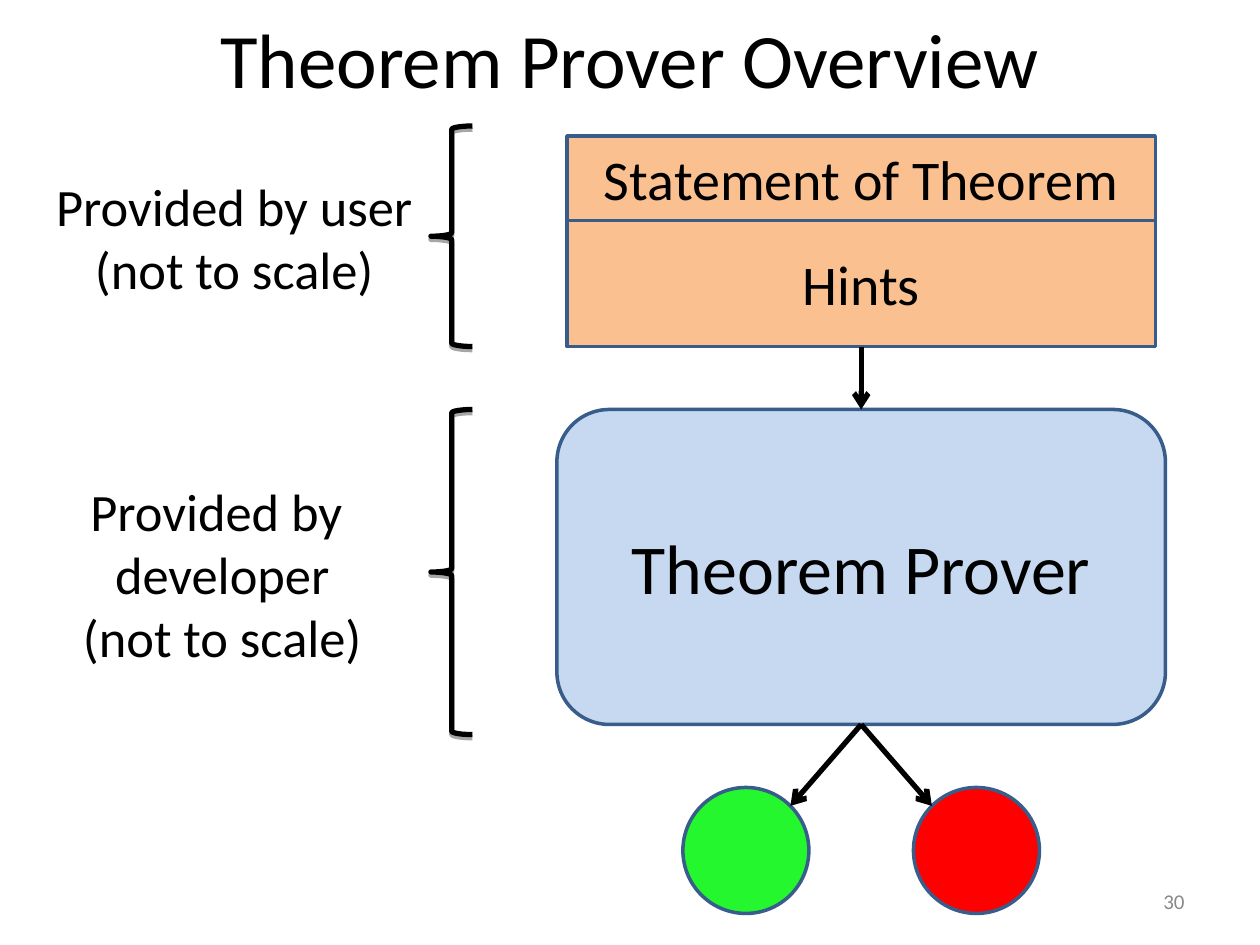
import math

from lxml import etree
from pptx import Presentation
from pptx.dml.color import RGBColor
from pptx.enum.shapes import MSO_CONNECTOR, MSO_SHAPE
from pptx.enum.text import MSO_ANCHOR, PP_ALIGN
from pptx.oxml.ns import qn
from pptx.util import Inches, Pt

RECTANGLE = MSO_SHAPE.RECTANGLE
ROUNDED = MSO_SHAPE.ROUNDED_RECTANGLE
OVAL = MSO_SHAPE.OVAL
BRACE = MSO_SHAPE.LEFT_BRACE
STRAIGHT = MSO_CONNECTOR.STRAIGHT
CENTER = PP_ALIGN.CENTER
RIGHT = PP_ALIGN.RIGHT
TOP = MSO_ANCHOR.TOP
MIDDLE = MSO_ANCHOR.MIDDLE

FONT = "Calibri"
BLACK = "000000"
OUTLINE = "385D8A"
ORANGE = "FAC090"
BOTTOM_SITE, TOP_SITE = 2, 0


def color(hex_code):
    """Turn a hex string into a colour."""
    return RGBColor.from_string(hex_code)


def write(frame, lines, size, hex_code=BLACK, align=CENTER, anchor=MIDDLE):
    """Fill a text frame with one paragraph per line."""
    frame.word_wrap = True
    frame.vertical_anchor = anchor
    for index, line in enumerate(lines):
        paragraph = frame.paragraphs[0] if index == 0 else frame.add_paragraph()
        paragraph.text = line
        paragraph.alignment = align
        paragraph.font.name = FONT
        paragraph.font.size = Pt(size)
        paragraph.font.color.rgb = color(hex_code)


def add_label(slide, box, lines, size, **style):
    """Add free-standing text."""
    label = slide.shapes.add_textbox(*map(Inches, box))
    write(label.text_frame, lines, size, **style)


def add_block(slide, kind, box, fill, text="", size=32):
    """Add a filled, outlined shape with optional centred text."""
    block = slide.shapes.add_shape(kind, *map(Inches, box))
    block.shadow.inherit = False
    block.fill.solid()
    block.fill.fore_color.rgb = color(fill)
    block.line.color.rgb = color(OUTLINE)
    block.line.width = Pt(2)
    if text:
        write(block.text_frame, [text], size)
    return block


def add_brace(slide, top, height):
    """Add a left brace with a soft drop shadow."""
    brace = slide.shapes.add_shape(BRACE, *map(Inches, (3.42, top, 0.33, height)))
    brace.shadow.inherit = False
    brace.fill.background()
    brace.line.color.rgb = color(BLACK)
    brace.line.width = Pt(3)
    effects = brace._element.spPr.find(qn("a:effectLst"))
    shadow = etree.SubElement(effects, qn("a:outerShdw"), dist=str(Pt(1.8)),
                              dir="5400000", rotWithShape="0")
    shade = etree.SubElement(shadow, qn("a:srgbClr"), val=BLACK)
    etree.SubElement(shade, qn("a:alpha"), val="35000")


def add_arrow(slide, source, end=(0, 0), target=None):
    """Add an arrow from the bottom of a block to a point or a block's top."""
    arrow = slide.shapes.add_connector(STRAIGHT, 0, 0, *map(Inches, end))
    arrow.begin_connect(source, BOTTOM_SITE)
    if target is not None:
        arrow.end_connect(target, TOP_SITE)
    arrow.line.color.rgb = color(BLACK)
    arrow.line.width = Pt(3)
    etree.SubElement(arrow.line._get_or_add_ln(), qn("a:tailEnd"), type="arrow")
    etree.SubElement(arrow._element.spPr, qn("a:effectLst"))


def add_outcome(slide, prover, left, fill, side):
    """Add a result circle and the arrow to its upper edge on one side."""
    top, radius = 6.25, 0.5
    reach = radius * math.sqrt(0.5)
    add_block(slide, OVAL, (left, top, 2 * radius, 2 * radius), fill)
    edge = (left + radius + side * reach, top + radius - reach)
    add_arrow(slide, prover, end=edge)


def main():
    """Build the theorem prover overview slide."""
    deck = Presentation()
    deck.slide_width, deck.slide_height = Inches(10), Inches(7.5)
    slide = deck.slides.add_slide(deck.slide_layouts[6])

    add_label(slide, (0.5, 0, 9, 0.92), ["Theorem Prover Overview"], 44)
    add_label(slide, (7.17, 6.95, 2.33, 0.4), ["30"], 12,
              hex_code="898989", align=RIGHT)

    prover = add_block(slide, ROUNDED, (4.42, 3.25, 4.83, 2.5), "C6D9F1",
                       "Theorem Prover", 40)
    add_block(slide, RECTANGLE, (4.5, 1.08, 4.67, 0.67), ORANGE,
              "Statement of Theorem")
    hints = add_block(slide, RECTANGLE, (4.5, 1.75, 4.67, 1), ORANGE, "Hints")

    add_arrow(slide, hints, target=prover)
    add_outcome(slide, prover, 5.42, "25F72F", 1)
    add_outcome(slide, prover, 7.25, "FF0000", -1)

    add_brace(slide, 1, 1.75)
    add_brace(slide, 3.25, 2.58)
    add_label(slide, (0.34, 1.33, 3.04, 1.1),
              ["Provided by user", "(not to scale)"], 30, anchor=TOP)
    add_label(slide, (-0.25, 3.75, 4.03, 1.6),
              ["Provided by ", "developer", "(not to scale)"], 30, anchor=TOP)

    deck.save("out.pptx")


if __name__ == "__main__":
    main()
